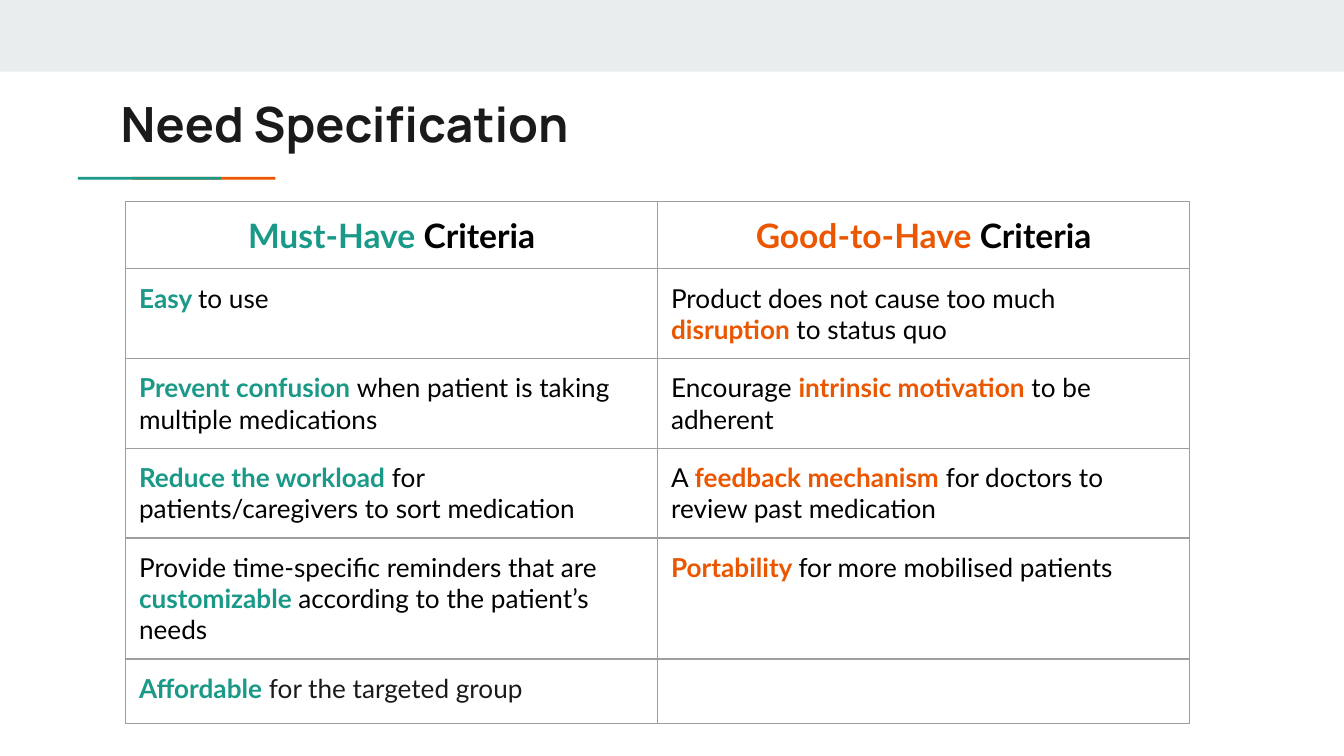
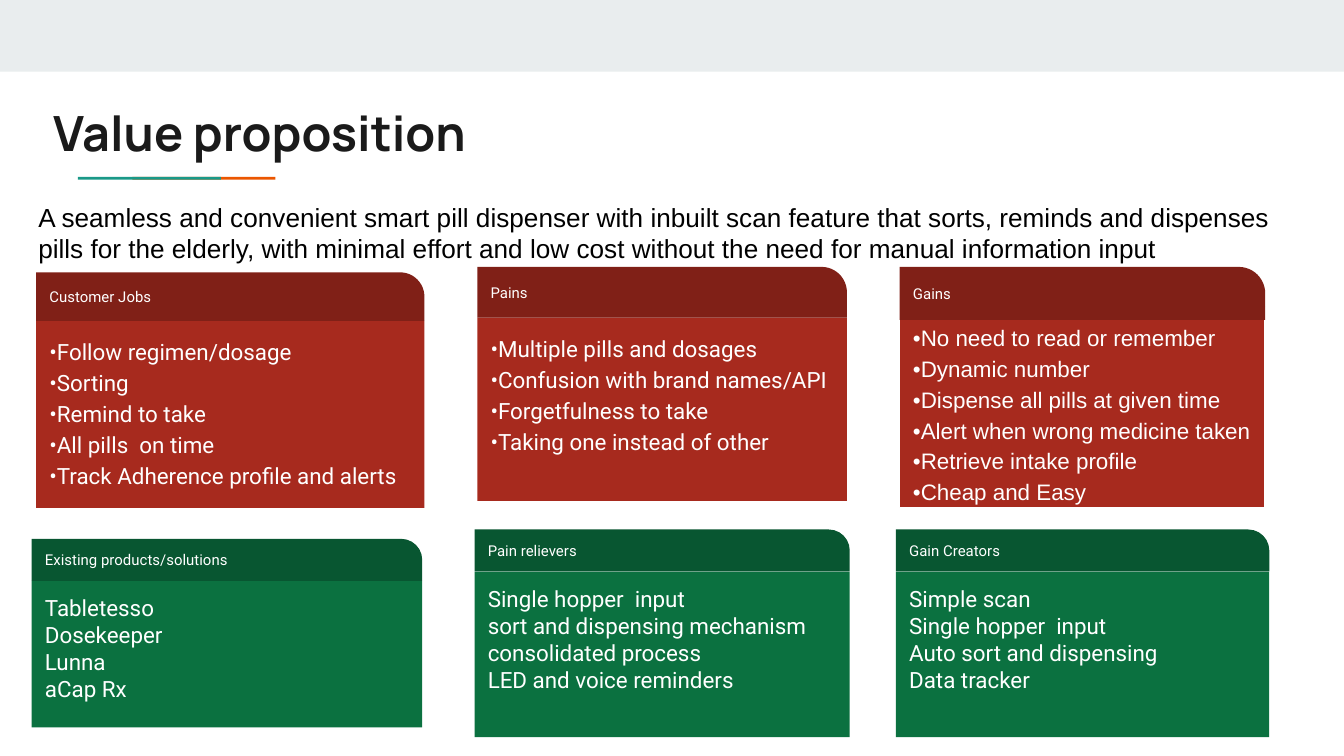
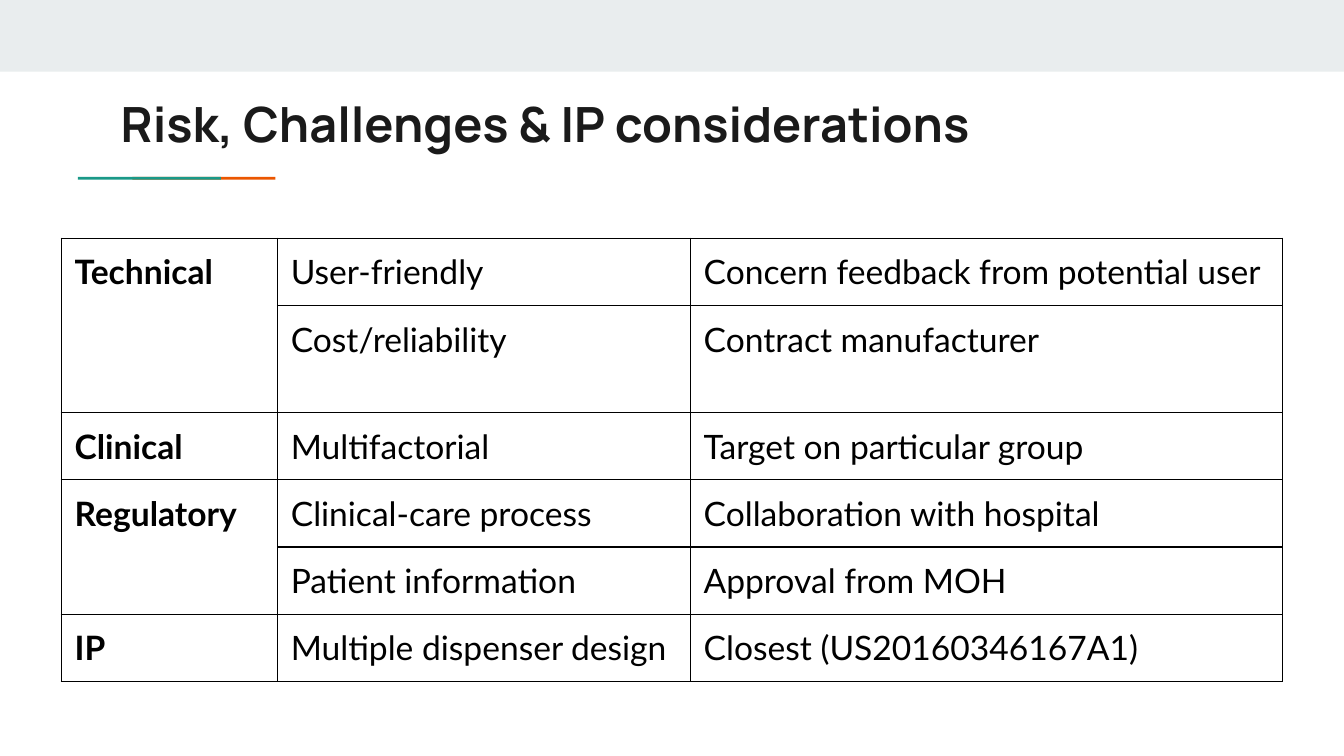
from dataclasses import dataclass

from lxml import etree
from pptx import Presentation
from pptx.dml.color import RGBColor
from pptx.enum import shapes, text
from pptx.oxml import ns
from pptx.util import Pt


@dataclass(frozen=True)
class Theme:
    ink: str = "1A1A1A"
    black: str = "000000"
    white: str = "FFFFFF"
    band: str = "E9EDEE"
    teal: str = "1A9988"
    orange: str = "EB5600"
    gray: str = "9E9E9E"
    red: tuple = ("802017", "A72A1E")
    green: tuple = ("085631", "0B7140")
    big: float = 26
    head: float = 18
    text: float = 14
    list: float = 12
    small: float = 8
    title: str = "Manrope"
    cell: str = "Lato"
    card: str = "Roboto"
    plain: str = "Arial"
    pad: float = 7.2
    rule: float = 0.75


T = Theme()
TITLE = (57.6, 43.2)

NEEDS = [
    (36, "*Must-Have* Criteria", "*Good-to-Have* Criteria"),
    (47.9, "*Easy *to use",
     "Product does not cause too much *disruption *to status quo"),
    (47.9, "*Prevent confusion *when patient is taking multiple medications",
     "Encourage *intrinsic motivation* to be adherent"),
    (47.9, "*Reduce the workload* for patients/caregivers to sort medication",
     "A *feedback mechanism* for doctors to review past medication"),
    (64.6, "Provide time-specific reminders that are *customizable *"
     "according to the patient’s needs",
     "*Portability *for more mobilised patients"),
    (34.7, "*Affordable* for the targeted group", ""),
]

RISKS = [
    (35.9, "Technical", "User-friendly",
     "Concern feedback from potential user"),
    (57.4, "", "Cost/reliability", "Contract manufacturer"),
    (36, "Clinical", "Multifactorial", "Target on particular group"),
    (36, "Regulatory", "Clinical-care process", "Collaboration with hospital"),
    (36, "", "Patient information", "Approval from MOH"),
    (36, "IP", "Multiple dispenser design", "Closest (US20160346167A1)"),
]

PITCH = ("A seamless and convenient smart pill dispenser with inbuilt scan "
         "feature that sorts, reminds and dispenses pills for the elderly, "
         "with minimal effort and low cost without the need for manual "
         "information input")

# Each card: box, head height, title, lines
NEED_CARDS = [
    ((19.4, 145.9, 208, 126.2), 26, "Customer Jobs",
     ["Follow regimen/dosage", "Sorting", "Remind to take",
      "All pills  on time", "Track Adherence profile and alerts"]),
    ((255.7, 143, 198, 125.4), 27.2, "Pains",
     ["Multiple pills and dosages", "Confusion with brand names/API",
      "Forgetfulness to take", "Taking one instead of other"]),
]
GAINS = ((482, 143, 195.8, 128.8), 28.4, "Gains",
         ["No need to read or remember", "Dynamic number",
          "Dispense all pills at given time",
          "Alert when wrong medicine taken", "Retrieve intake profile",
          "Cheap and Easy"])
OFFERS = [
    ((17, 288.7, 209.2, 101), 22.5, "Existing products/solutions",
     ["Tabletesso", "Dosekeeper", "Lunna", "aCap Rx"]),
    ((254.2, 283.7, 201, 111.2), 22.5, "Pain relievers",
     ["Single hopper  input",
      "sort and dispensing mechanism consolidated process",
      "LED and voice reminders"]),
    ((480, 283.7, 200, 111.2), 22.5, "Gain Creators",
     ["Simple scan", "Single hopper  input", "Auto sort and dispensing",
      "Data tracker"]),
]


def put(obj, **fmt):
    for key, val in fmt.items():
        setattr(obj, key, val)


def write(para, words, size, face, color, bold=False):
    run = para.add_run()
    run.text = words
    put(run.font, size=Pt(size), name=face, bold=bold)
    run.font.color.rgb = RGBColor.from_string(color)


def frame(shape, lines, style, anchor=text.MSO_ANCHOR.TOP, gap=1):
    """Fill a shape with one paragraph for each line."""
    body, pad = shape.text_frame, Pt(T.pad)
    put(body, word_wrap=True, vertical_anchor=anchor, margin_left=pad,
        margin_right=pad, margin_top=pad, margin_bottom=pad)
    for i, line in enumerate(lines):
        para = body.add_paragraph() if i else body.paragraphs[0]
        put(para, alignment=text.PP_ALIGN.LEFT, line_spacing=gap)
        write(para, line, *style)


def block(slide, box, fill, kind=shapes.MSO_SHAPE.RECTANGLE, edge=None):
    shape = slide.shapes.add_shape(kind, *map(Pt, box))
    shape.shadow.inherit = False
    shape.fill.solid()
    shape.fill.fore_color.rgb = RGBColor.from_string(fill)
    if edge:
        shape.line.color.rgb = RGBColor.from_string(edge)
        shape.line.width = Pt(T.rule)
    else:
        shape.line.fill.background()
    return shape


def label(slide, box, words, style):
    frame(slide.shapes.add_textbox(*map(Pt, box)), [words], style)


def base(deck, title, spot=TITLE):
    """Add a slide with the top band, the title and its two-colour rule."""
    slide = deck.slides.add_slide(deck.slide_layouts[6])
    block(slide, (0, 0, 720, 38.4), T.band)
    for x, color in ((71, T.orange), (41.8, T.teal)):
        block(slide, (x, 94.8, 76.6, 1.5), color)
    label(slide, (*spot, 605.5, 42.5), title,
          (T.big, T.title, T.ink, True))
    return slide


def border(cell, color):
    cell.fill.background()
    props = cell._tc.get_or_add_tcPr()
    for i, side in enumerate(("lnL", "lnR", "lnT", "lnB")):
        line = etree.Element(ns.qn("a:" + side), w=str(Pt(T.rule)))
        fill = etree.SubElement(line, ns.qn("a:solidFill"))
        etree.SubElement(fill, ns.qn("a:srgbClr"), val=color)
        props.insert(i, line)


def grid(slide, spot, widths, rows, edge, fill):
    """Add a table; fill(para, words, row, col) writes each cell."""
    size = sum(widths), sum(row[0] for row in rows)
    table = slide.shapes.add_table(
        len(rows), len(widths), *map(Pt, (*spot, *size))).table
    put(table, first_row=False, horz_banding=False)
    for col, width in zip(table.columns, widths):
        col.width = Pt(width)
    for r, (high, *cells) in enumerate(rows):
        table.rows[r].height = Pt(high)
        for c, words in enumerate(cells):
            cell, pad = table.cell(r, c), Pt(T.pad)
            put(cell, margin_left=pad, margin_right=pad,
                margin_top=pad, margin_bottom=pad)
            border(cell, edge)
            para = cell.text_frame.paragraphs[0]
            if words:
                fill(para, words, r, c)
            else:
                etree.SubElement(para._p, ns.qn("a:endParaRPr"),
                                 sz=str(int(T.text * 100)))
    return table


def need(para, words, row, col):
    """Write a criterion, with the parts between stars in the accent."""
    top = row == 0
    if top:
        para.alignment = text.PP_ALIGN.CENTER
    plain = T.ink if row == len(NEEDS) - 1 else T.black
    accent = (T.teal, T.orange)[col]
    for i, part in enumerate(words.split("*")):
        if part:
            key = i % 2 == 1
            write(para, part, T.head if top else T.text, T.cell,
                  accent if key else plain, top or key)


def risk(para, words, row, col):
    write(para, words, T.head, T.cell, T.black, col == 0)


def card(slide, box, head, title, lines, tones, gap=1, face=T.card,
         lap=0, edge=None):
    """Draw a card; its body starts lap points above the end of the head."""
    x, y, w, h = box
    dark, light = tones
    start = head - lap
    body = block(slide, (x, y + start, w, h - start), light, edge=edge)
    frame(body, lines, (T.list, face, T.white), gap=gap)
    cap = block(slide, (x, y, w, head), dark,
                shapes.MSO_SHAPE.ROUND_1_RECTANGLE)
    cap.adjustments[0] = 0.5
    frame(cap, [title], (T.small, T.card, T.white), text.MSO_ANCHOR.MIDDLE)


def dots(lines):
    return ["•" + line for line in lines]


def needs(deck):
    slide = base(deck, "Need Specification")
    grid(slide, (67.3, 108), (285, 285), NEEDS, T.gray, need)


def value(deck):
    slide = base(deck, "Value proposition", (21.4, 48))
    for box, head, title, lines in NEED_CARDS:
        card(slide, box, head, title, dots(lines), T.red, 1.15)
    box, head, title, lines = GAINS
    card(slide, box, head, title, dots(lines), T.red, 1.15,
         T.plain, 7.2, T.white)
    for offer in OFFERS:
        card(slide, *offer, T.green)
    label(slide, (13.4, 100.7, 690.5, 42.5), PITCH,
          (T.text, T.plain, T.black))


def risks(deck):
    slide = base(deck, "Risk, Challenges & IP considerations")
    table = grid(slide, (32.8, 127.6), (115.8, 221.2, 317.2), RISKS,
                 T.black, risk)
    for row in (0, 3):
        table.cell(row, 0).merge(table.cell(row + 1, 0))


def main():
    deck = Presentation()
    put(deck, slide_width=Pt(720), slide_height=Pt(405))
    for build in (needs, value, risks):
        build(deck)
    deck.save("out.pptx")


if __name__ == "__main__":
    main()
